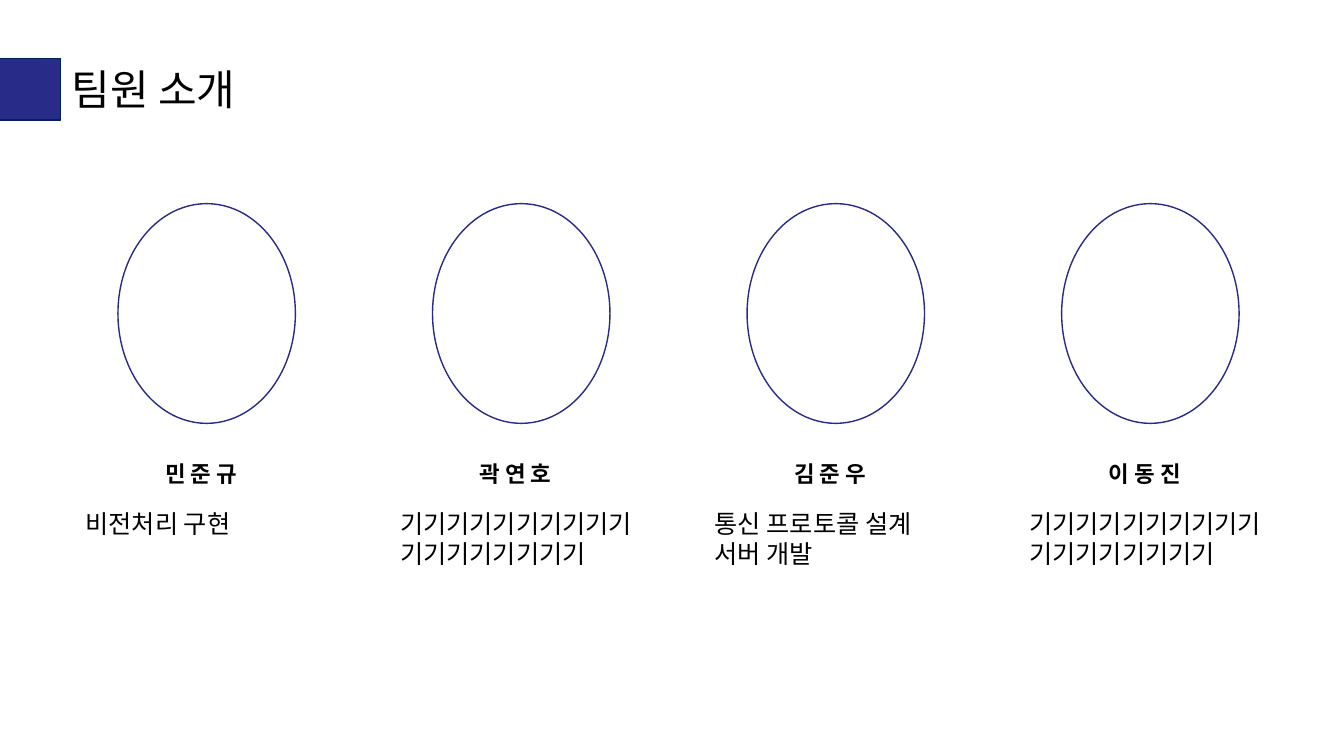
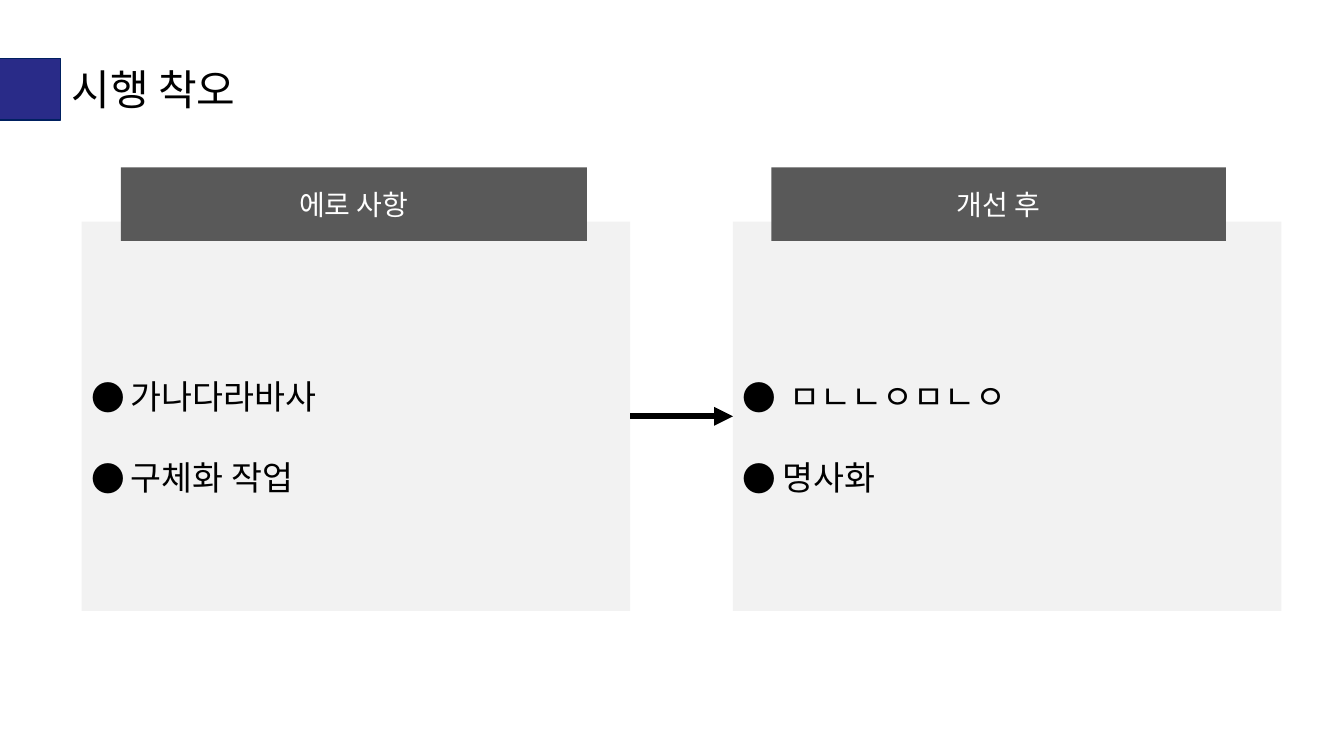
from lxml.etree import SubElement
from pptx import Presentation
from pptx.dml.color import RGBColor
from pptx.enum.shapes import MSO_CONNECTOR, MSO_SHAPE
from pptx.enum.text import MSO_ANCHOR, MSO_AUTO_SIZE, PP_ALIGN
from pptx.oxml.ns import qn
from pptx.util import Inches, Pt

FONT = "Noto Sans CJK KR"
NAVY, NAVY_EDGE = "292B88", "002060"
BLACK, WHITE, PANEL, HEADER = "000000", "FFFFFF", "F2F2F2", "595959"

TEAM_TITLE = "팀원 소개"
TEAM = [
    ("민 준 규", ["비전처리 구현"]),
    ("곽 연 호", ["기기기기기기기기기기기기기기기기기기"]),
    ("김 준 우", ["통신 프로토콜 설계", "서버 개발"]),
    ("이 동 진", ["기기기기기기기기기기기기기기기기기기"]),
]
TEAM_PITCH = 3.12

TRIAL_TITLE = "시행 착오"
# panel left, header left, header width, header, points
TRIALS = [
    (0.81, 1.2, 4.62, "에로 사항", ["가나다라바사", "구체화 작업"]),
    (7.27, 7.65, 4.51, "개선 후", [" ㅁㄴㄴㅇㅁㄴㅇ", "명사화"]),
]

TITLE = dict(size=Pt(30))
NAME = dict(size=Pt(16), bold=True)
DETAIL = dict(size=Pt(18))
HEAD = dict(size=Pt(20), color=WHITE)
POINT = dict(size=Pt(24))


def rgb(value):
    return RGBColor.from_string(value)


def box(left, top, width, height):
    return [Inches(v) for v in (left, top, width, height)]


def write(tf, lines, font, align=PP_ALIGN.LEFT, spacing=1.0,
          anchor=MSO_ANCHOR.TOP, bullet=None):
    frame = dict(word_wrap=True, auto_size=MSO_AUTO_SIZE.NONE,
                 vertical_anchor=anchor)
    for key, value in frame.items():
        setattr(tf, key, value)
    style = {"color": BLACK, "name": FONT, **font}
    color = style.pop("color")
    for i, line in enumerate(lines):
        p = tf.add_paragraph() if i else tf.paragraphs[0]
        p.alignment, p.line_spacing = align, spacing
        if bullet:
            hang(p, bullet)
        r = p.add_run()
        r.text = line
        for key, value in style.items():
            setattr(r.font, key, value)
        r.font.color.rgb = rgb(color)
        SubElement(r.font._element, qn("a:ea"), typeface=FONT)


def hang(p, bullet):
    """Give the paragraph a bullet with a hanging indent."""
    pPr = p._p.get_or_add_pPr()
    indent = Inches(0.39)
    pPr.set("marL", str(indent))
    pPr.set("indent", str(-indent))
    SubElement(pPr, qn("a:buFont"), typeface=FONT)
    SubElement(pPr, qn("a:buChar"), char=bullet)


def add_shape(s, kind, place, fill, line=None):
    sp = s.shapes.add_shape(kind, *box(*place))
    sp.shadow.inherit = False
    sp.fill.solid()
    sp.fill.fore_color.rgb = rgb(fill)
    if line:
        sp.line.color.rgb = rgb(line)
        sp.line.width = Pt(1)
    else:
        sp.line.fill.background()
    return sp


def add_text(s, place, lines, font, **options):
    tf = s.shapes.add_textbox(*box(*place)).text_frame
    write(tf, lines, font, **options)
    return tf


def add_arrow(s, start, end):
    """Draw an arrow from the right side of start to the left side of end."""
    arrow = s.shapes.add_connector(MSO_CONNECTOR.STRAIGHT, 0, 0, 0, 0)
    arrow.begin_connect(start, 3)
    arrow.end_connect(end, 1)
    arrow.line.color.rgb = rgb(BLACK)
    arrow.line.width = Pt(4.5)
    SubElement(arrow.line._get_or_add_ln(), qn("a:tailEnd"), type="triangle")
    SubElement(arrow._element.spPr, qn("a:effectLst"))


def add_slide(prs, title):
    s = prs.slides.add_slide(prs.slide_layouts[5])
    sp = s.shapes.title
    sp.left, sp.top, sp.width, sp.height = box(0.61, 0.58, 2.2, 0.61)
    write(sp.text_frame, [title], TITLE, anchor=MSO_ANCHOR.MIDDLE)
    add_shape(s, MSO_SHAPE.RECTANGLE, (-0.69, 0.58, 1.29, 0.61),
              NAVY, NAVY_EDGE)
    return s


def build_team(prs):
    s = add_slide(prs, TEAM_TITLE)
    for i, (name, details) in enumerate(TEAM):
        x = i * TEAM_PITCH
        add_shape(s, MSO_SHAPE.OVAL, (1.17 + x, 2.02, 1.76, 2.18), WHITE, NAVY)
        tf = add_text(s, (0.67 + x, 4.38, 2.75, 0.45), [name], NAME,
                      align=PP_ALIGN.CENTER, spacing=1.5)
        tf.margin_right = Inches(0.2)
        add_text(s, (0.75 + x, 4.99, 2.58, 0.71), details, DETAIL)


def build_trials(prs):
    s = add_slide(prs, TRIAL_TITLE)
    panels = []
    for left, head_left, head_width, head, points in TRIALS:
        panel = add_shape(s, MSO_SHAPE.RECTANGLE, (left, 2.2, 5.44, 3.86), PANEL)
        write(panel.text_frame, points, POINT, spacing=2.0,
              anchor=MSO_ANCHOR.MIDDLE, bullet="●")
        panels.append(panel)
        header = add_shape(s, MSO_SHAPE.RECTANGLE,
                           (head_left, 1.66, head_width, 0.73), HEADER)
        write(header.text_frame, [head], HEAD, align=PP_ALIGN.CENTER,
              anchor=MSO_ANCHOR.MIDDLE)
    add_arrow(s, *panels)


def main():
    prs = Presentation()
    prs.slide_width, prs.slide_height = Inches(13.33), Inches(7.5)
    build_team(prs)
    build_trials(prs)
    prs.save("out.pptx")


if __name__ == "__main__":
    main()
